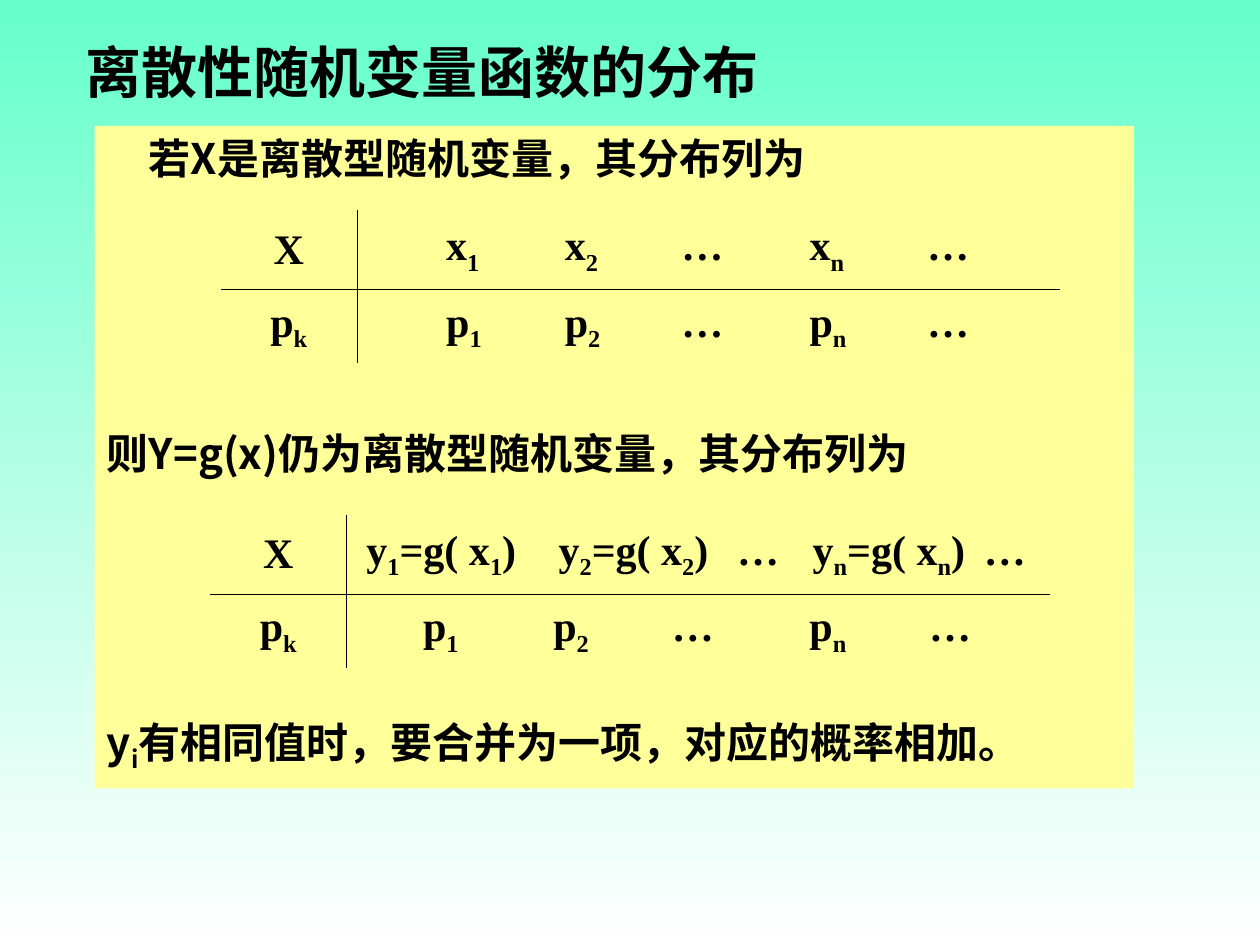
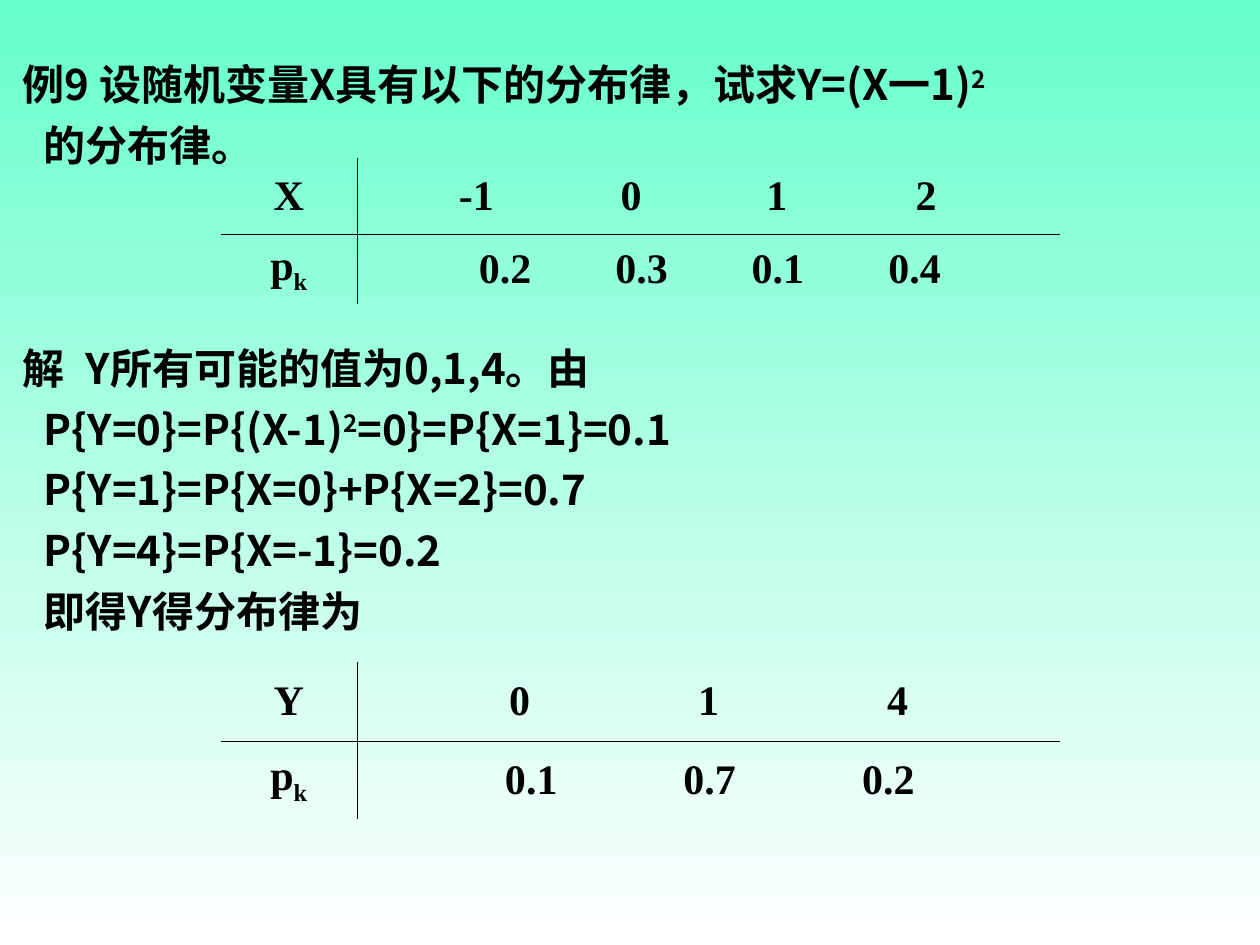
from dataclasses import dataclass
from typing import Iterator

from lxml.etree import SubElement
from pptx import Presentation
from pptx.dml.color import RGBColor
from pptx.enum.shapes import MSO_SHAPE
from pptx.enum.text import MSO_ANCHOR, PP_ALIGN
from pptx.oxml.ns import qn
from pptx.util import Inches, Pt

MINT = RGBColor(0x66, 0xFF, 0xCC)
WHITE = RGBColor(0xFF, 0xFF, 0xFF)
CREAM = RGBColor(0xFF, 0xFF, 0x99)
BLACK = RGBColor(0, 0, 0)

SERIF = "Times New Roman"
SANS = "Noto Sans CJK SC"
LINE_SHARE = 1.2
RULE_WIDTH = Pt(0.45)
NO_TABLE_STYLE = "{2D5ABB26-0587-4C30-8999-92F81FD0307C}"
SHIFTS = {"_": "-25000", "^": "30000"}

# The slide is a grid of 120 columns and 90 rows.
COLUMNS, ROWS = 120, 90
UNIT = Inches(10) / COLUMNS
INSET = 1.2
HEAD_WIDTH, BODY_WIDTH = 13, 67


def grid(count: float) -> int:
    return round(count * UNIT)


@dataclass(frozen=True)
class Line:
    """A paragraph; _ lowers and ^ raises the character that follows."""
    text: str
    indent: float = 0
    before: float = 0
    tab: float = 0


@dataclass(frozen=True)
class TextBlock:
    column: float
    row: float
    width: float
    height: float
    lines: tuple[Line, ...]
    size: int = 24
    font: str = SANS
    fill: RGBColor | None = None


@dataclass(frozen=True)
class Values:
    """One row of a distribution: its head, its entries and their columns."""
    head: str
    entries: tuple[str, ...]
    stops: tuple[float, ...]
    height: float


@dataclass(frozen=True)
class Distribution:
    column: float
    row: float
    values: tuple[Values, Values]


def equal_stops(first: float, step: float, count: int) -> tuple[float, ...]:
    return tuple(first + step * index for index in range(count))


def split_shifts(text: str) -> Iterator[tuple[str, str | None]]:
    """Yield pieces of text with their baseline shift."""
    plain = ""
    characters = iter(text)
    for character in characters:
        if character in SHIFTS:
            if plain:
                yield plain, None
            yield next(characters), SHIFTS[character]
            plain = ""
        else:
            plain += character
    if plain:
        yield plain, None


def add_tabs(para, stops: list[float]) -> None:
    tab_list = SubElement(para._p.get_or_add_pPr(), qn("a:tabLst"))
    for stop in stops:
        SubElement(tab_list, qn("a:tab"), pos=str(grid(stop)), algn="l")


def write(para, text: str, size: int, font: str) -> None:
    font_format = {"size": Pt(size), "bold": True, "name": font}
    for piece, shift in split_shifts(text):
        span = para.add_run()
        span.text = piece
        for name, value in font_format.items():
            setattr(span.font, name, value)
        span.font.color.rgb = BLACK
        properties = span._r.get_or_add_rPr()
        SubElement(properties, qn("a:ea"), typeface=SANS)
        if shift:
            properties.set("baseline", shift)


def add_text(page, block: TextBlock) -> None:
    place = [grid(n) for n in (block.column, block.row, block.width, block.height)]
    if block.fill is None:
        box = page.shapes.add_textbox(*place)
    else:
        box = page.shapes.add_shape(MSO_SHAPE.RECTANGLE, *place)
        box.shadow.inherit = False
        box.fill.solid()
        box.fill.fore_color.rgb = block.fill
        box.line.fill.background()
    frame = box.text_frame
    frame.word_wrap = True
    frame.vertical_anchor = MSO_ANCHOR.TOP
    for index, line in enumerate(block.lines):
        para = frame.add_paragraph() if index else frame.paragraphs[0]
        para_format = {"alignment": PP_ALIGN.LEFT, "space_before": Pt(line.before),
                       "line_spacing": Pt(block.size * LINE_SHARE)}
        for name, value in para_format.items():
            setattr(para, name, value)
        para._p.get_or_add_pPr().set("indent", str(grid(line.indent)))
        if line.tab:
            add_tabs(para, [line.tab])
        write(para, line.text, block.size, block.font)


def add_rule(cell, side: str) -> None:
    rule = SubElement(cell._tc.get_or_add_tcPr(), qn(f"a:ln{side}"), w=str(RULE_WIDTH))
    fill = SubElement(rule, qn("a:solidFill"))
    SubElement(fill, qn("a:srgbClr"), val=str(BLACK))


def add_distribution(page, spec_table: Distribution) -> None:
    heights = [values.height for values in spec_table.values]
    frame = page.shapes.add_table(2, 2, grid(spec_table.column), grid(spec_table.row),
                                  grid(HEAD_WIDTH + BODY_WIDTH), grid(sum(heights)))
    table = frame.table
    table.first_row = table.horz_banding = False
    table._tbl.tblPr.find(qn("a:tableStyleId")).text = NO_TABLE_STYLE
    for column, width in zip(table.columns, (HEAD_WIDTH, BODY_WIDTH)):
        column.width = grid(width)
    for index, values in enumerate(spec_table.values):
        table.rows[index].height = grid(values.height)
        head, body = table.cell(index, 0), table.cell(index, 1)
        for cell, sides in ((head, "R"), (body, "L")):
            for side in sides + ("T" if index else "B"):
                add_rule(cell, side)
            cell.fill.background()
            cell.vertical_anchor = MSO_ANCHOR.MIDDLE
        first = values.stops[0]
        body.margin_left = grid(INSET + first)
        body.margin_right = 0
        head_para, body_para = (cell.text_frame.paragraphs[0] for cell in (head, body))
        head_para.alignment = PP_ALIGN.CENTER
        add_tabs(body_para, [stop - first for stop in values.stops[1:]])
        write(head_para, values.head, 24, SERIF)
        write(body_para, "\t".join(values.entries), 24, SERIF)


PROBABILITIES = ("p_1", "p_2", "…", "p_n", "…")
X_STOPS = (7.3, 18.6, 29.7, 41.9, 53.1)

THEORY = (
    TextBlock(7, 3, 95, 7.7, (Line("离散性随机变量函数的分布"),), 32, SERIF),
    TextBlock(9, 12, 99, 63.1, (
        Line("若X是离散型随机变量，其分布列为", indent=4),
        Line("则Y=g(x)仍为离散型随机变量，其分布列为", before=140),
        Line("y_i有相同值时，要合并为一项，对应的概率相加。", before=140),
    ), fill=CREAM),
    Distribution(20, 49, (
        Values("X", ("y_1=g( x_1)", "y_2=g( x_2)", "…", "y_n=g( x_n)", "…"),
               (0.7, 19, 36, 43.2, 59.5), 7.6),
        Values("p_k", PROBABILITIES, (6.1, 18.5, 29.8, 42.9, 54.3), 7),
    )),
    Distribution(21, 20, (
        Values("X", ("x_1", "x_2", "…", "x_n", "…"), X_STOPS, 7.6),
        Values("p_k", PROBABILITIES, X_STOPS, 7),
    )),
)

EXAMPLE = (
    TextBlock(1, 5, 116, 11.9, (
        Line("例9 设随机变量X具有以下的分布律，试求Y=(X一1)^2"),
        Line("的分布律。", indent=2, before=6),
    )),
    Distribution(21, 15, (
        Values("X", ("-1", "0", "1", "2"), (8.5, 23.9, 37.8, 52), 7.3),
        Values("p_k", ("0.2", "0.3", "0.1", "0.4"), equal_stops(10.4, 13, 4), 6.7),
    )),
    Distribution(21, 63, (
        Values("Y", ("0", "1", "4"), equal_stops(13.3, 18, 3), 7.6),
        Values("p_k", ("0.1", "0.7", "0.2"), equal_stops(12.9, 17, 3), 7.4),
    )),
    TextBlock(1, 32, 116, 29.3, (
        Line("解\tY所有可能的值为0,1,4。由", tab=6.8),
        *(Line(text, indent=2, before=6) for text in (
            "P{Y=0}=P{(X-1)^2=0}=P{X=1}=0.1",
            "P{Y=1}=P{X=0}+P{X=2}=0.7",
            "P{Y=4}=P{X=-1}=0.2",
            "即得Y得分布律为",
        )),
    )),
)


def paint_background(master) -> None:
    fill = master.background.fill
    fill.gradient()
    fill.gradient_angle = 270
    for stop, color in zip(fill.gradient_stops, (MINT, WHITE)):
        stop.color.rgb = color


def main() -> None:
    deck = Presentation()
    deck.slide_width, deck.slide_height = grid(COLUMNS), grid(ROWS)
    paint_background(deck.slide_master)
    for blocks in (THEORY, EXAMPLE):
        page = deck.slides.add_slide(deck.slide_layouts[6])
        for block in blocks:
            if isinstance(block, Distribution):
                add_distribution(page, block)
            else:
                add_text(page, block)
    deck.save("out.pptx")


if __name__ == "__main__":
    main()
